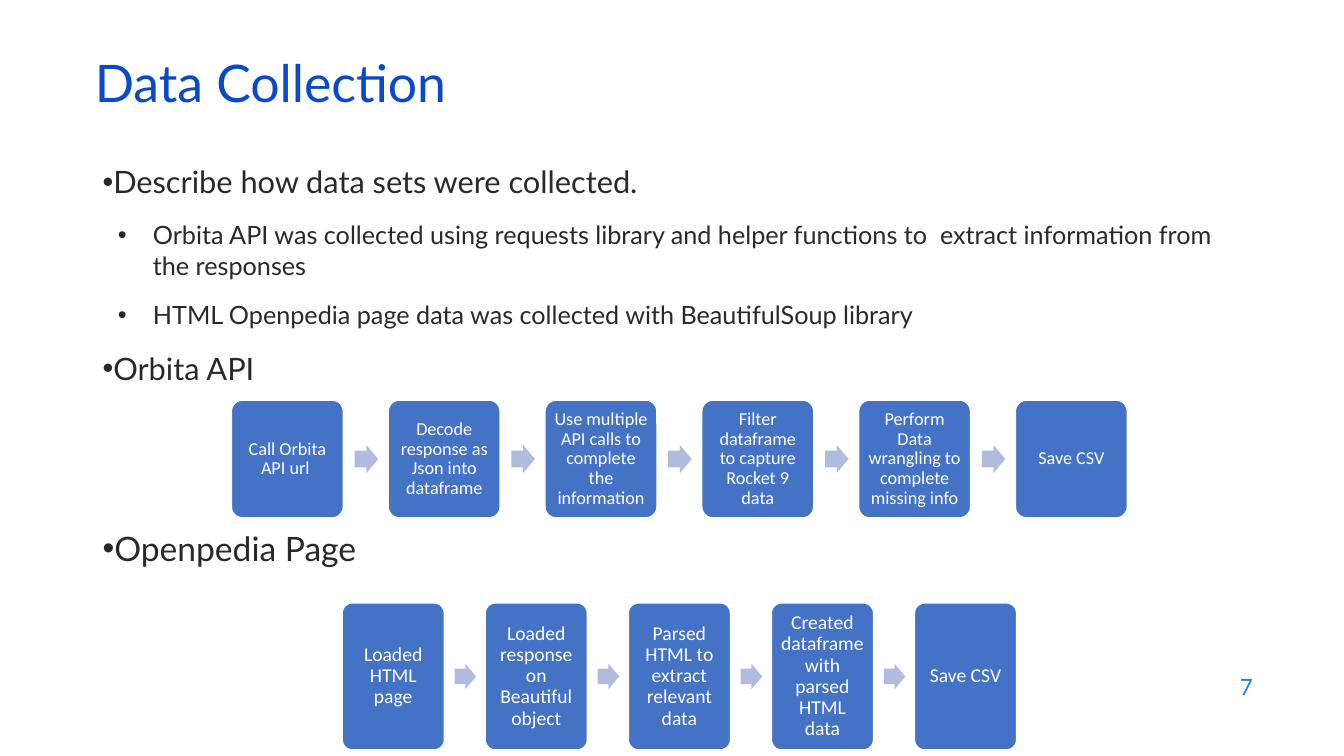
from lxml.etree import SubElement
from pptx import Presentation
from pptx.dml.color import RGBColor
from pptx.enum.shapes import MSO_SHAPE
from pptx.enum.text import MSO_ANCHOR, MSO_AUTO_SIZE, PP_ALIGN
from pptx.oxml.ns import qn
from pptx.util import Pt

TITLE = "Data Collection"
PAGE_NUMBER = "7"
TOPIC = dict(size=22, before=14)
DETAIL = dict(size=18, before=14, margin=36, hanging=25)
OUTLINE = [
    ("Describe how data sets were collected.", dict(size=22)),
    ("Orbita API was collected using requests library and helper functions to  "
     "extract information from the responses", DETAIL),
    ("HTML Openpedia page data was collected with BeautifulSoup library", DETAIL),
    ("Orbita API", TOPIC),
    ("Openpedia Page", dict(size=24, before=104, spacing=0.9)),
]
FLOWS = [
    dict(top=285.8, width=80, height=84.2, size=13, inset=3.6, steps=[
        "Call Orbita API url ",
        "Decode response as Json into dataframe",
        "Use multiple API calls to complete the information",
        "Filter dataframe to capture Rocket 9 data",
        "Perform Data wrangling to complete missing info",
        "Save CSV",
    ]),
    dict(top=430.7, width=73, height=105, size=14, inset=4.2, steps=[
        "Loaded HTML page",
        "Loaded response on Beautiful object",
        "Parsed HTML to extract relevant data",
        "Created dataframe with parsed HTML data",
        "Save CSV",
    ]),
]
FLOW_CENTER = 485.3
PITCH, ARROW_OFFSET, ARROW_WIDTH, ARROW_HEIGHT = 1.4, 1.1, 0.21, 0.25


def color(code):
    return RGBColor.from_string(code)


def write(paragraph, text, size, ink, font="Lato", align=PP_ALIGN.LEFT,
          spacing=1.0, before=0, bullet=False, margin=0, hanging=0):
    paragraph.alignment = align
    paragraph.line_spacing = spacing
    paragraph.space_before = Pt(before)
    if bullet:
        properties = paragraph._p.get_or_add_pPr()
        properties.set("marL", str(Pt(margin)))
        properties.set("indent", str(-Pt(hanging)))
        SubElement(properties, qn("a:buFont")).set("typeface", "Arial")
        SubElement(properties, qn("a:buChar")).set("char", "•")
    run = paragraph.add_run()
    run.text = text
    run.font.size = Pt(size)
    run.font.name = font
    run.font.color.rgb = color(ink)


def add_frame(left, top, width, height, anchor):
    frame = slide.shapes.add_textbox(Pt(left), Pt(top), Pt(width), Pt(height)).text_frame
    frame.word_wrap = True
    frame.vertical_anchor = anchor
    return frame


def add_block(kind, left, top, width, height, fill, adjustments):
    block = slide.shapes.add_shape(kind, Pt(left), Pt(top), Pt(width), Pt(height))
    block.shadow.inherit = False
    block.fill.solid()
    block.fill.fore_color.rgb = color(fill)
    block.line.fill.background()
    for index, value in enumerate(adjustments):
        block.adjustments[index] = value
    return block


def add_flow(steps, top, width, height, size, inset):
    pitch = width * PITCH
    start = FLOW_CENTER - (pitch * (len(steps) - 1) + width) / 2
    arrow_height = width * ARROW_HEIGHT
    for index, step in enumerate(steps):
        left = start + index * pitch
        if index:
            add_block(MSO_SHAPE.RIGHT_ARROW, left - pitch + width * ARROW_OFFSET,
                      top + (height - arrow_height) / 2, width * ARROW_WIDTH,
                      arrow_height, "B0BCDE", (0.6, 0.5))
        box = add_block(MSO_SHAPE.ROUNDED_RECTANGLE, left, top, width, height,
                        "4472C4", (0.1,))
        box.line.color.rgb = color("FFFFFF")
        box.line.width = Pt(1)
        frame = box.text_frame
        frame.word_wrap = True
        frame.vertical_anchor = MSO_ANCHOR.MIDDLE
        frame.margin_left = frame.margin_right = Pt(inset)
        frame.margin_top = frame.margin_bottom = Pt(inset)
        write(frame.paragraphs[0], step, size, "FFFFFF", font="Calibri",
              align=PP_ALIGN.CENTER, spacing=0.9)


deck = Presentation()
deck.slide_width, deck.slide_height = Pt(960), Pt(540)
slide = deck.slides.add_slide(deck.slide_layouts[5])

heading = slide.shapes.title
heading.left, heading.top, heading.width, heading.height = Pt(60.5), Pt(42.5), Pt(828), Pt(43)
heading.text_frame.auto_size = MSO_AUTO_SIZE.NONE
heading.text_frame.vertical_anchor = MSO_ANCHOR.MIDDLE
write(heading.text_frame.paragraphs[0], TITLE, 37, "0B49CB", spacing=0.7)

outline = add_frame(66.2, 113, 828, 343, MSO_ANCHOR.TOP)
for index, (line, style) in enumerate(OUTLINE):
    paragraph = outline.add_paragraph() if index else outline.paragraphs[0]
    write(paragraph, line, ink="292929", bullet=True, **style)

for flow in FLOWS:
    add_flow(**flow)

page = add_frame(686, 474.5, 216, 31.7, MSO_ANCHOR.MIDDLE)
write(page.paragraphs[0], PAGE_NUMBER, 16, "1C7DDB", align=PP_ALIGN.RIGHT)

deck.save("out.pptx")
